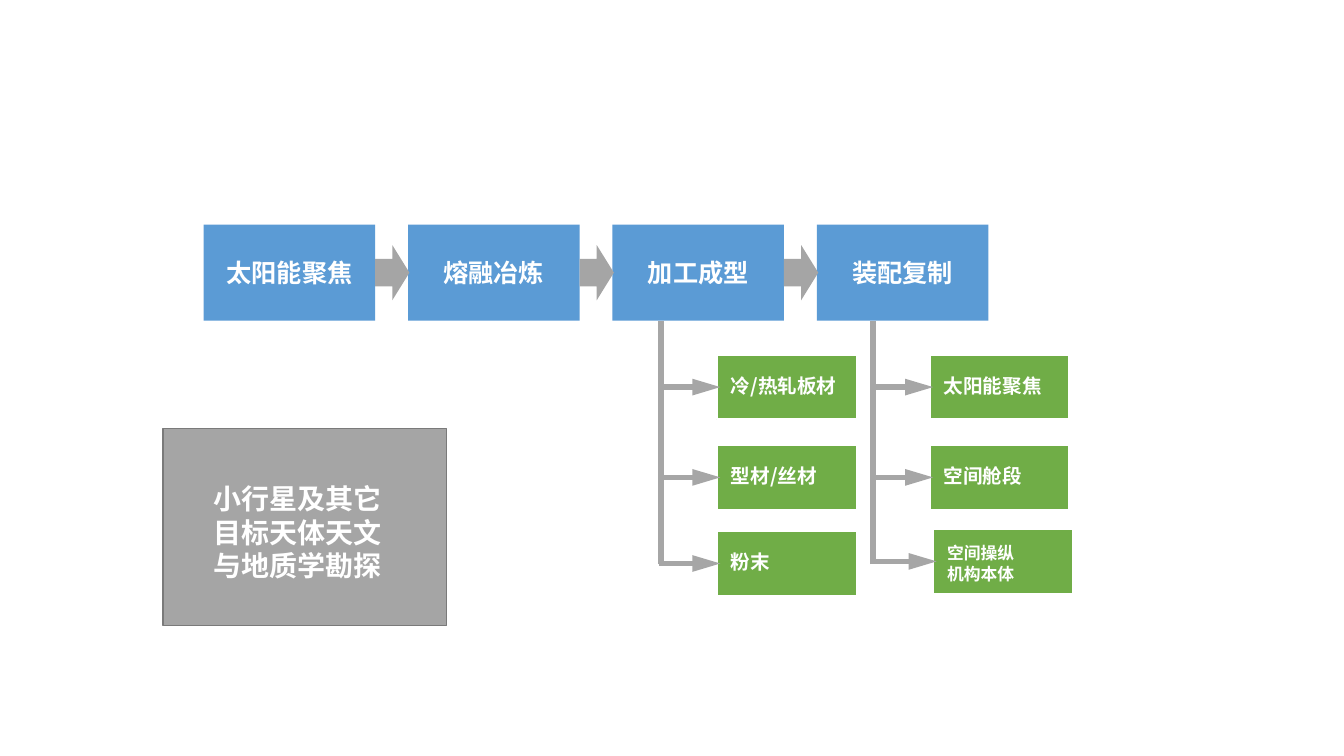
import pptx
import pptx.util
import pptx.dml.color
import pptx.enum.shapes
import pptx.enum.text
import pptx.oxml
import pptx.oxml.ns
import pptx.oxml.xmlchemy

Pt = pptx.util.Pt
RGBColor = pptx.dml.color.RGBColor
Shape = pptx.enum.shapes.MSO_SHAPE
Align = pptx.enum.text.PP_ALIGN
Anchor = pptx.enum.text.MSO_ANCHOR

# Content
STEPS = ["太阳能聚焦", "熔融冶炼", "加工成型", "装配复制"]
SURVEY = "小行星及其它目标天体天文与地质学勘探"
# Each branch: stem x, then outputs as (text, left, top, font size, text inset)
BRANCHES = [
    (472, [("冷/热轧板材", 512, 253.5, 14, 13.5),
           ("型材/丝材", 512, 318, 14, 13),
           ("粉末", 512, 379.5, 14, 13)]),
    (623.5, [("太阳能聚焦", 664, 253.5, 14, 13.5),
             ("空间舱段", 664, 318, 14, 13),
             ("空间操纵\n机构本体", 666.5, 378, 12, 10)]),
]

# Style and geometry
FONT = "Noto Sans CJK SC"
WHITE = RGBColor(0xFF, 0xFF, 0xFF)
BLUE = RGBColor(0x5B, 0x9B, 0xD5)
GREEN = RGBColor(0x70, 0xAD, 0x47)
GRAY = RGBColor(0xA5, 0xA5, 0xA5)
DARK_GRAY = RGBColor(0x7A, 0x7A, 0x7A)
LINE_GRAY = RGBColor(0xA6, 0xA6, 0xA6)
STEP_LEFT, STEP_TOP, STEP_PITCH = 145.5, 160.5, 146
STEP_WIDTH, STEP_HEIGHT = 122.5, 68.5
ARROW_WIDTH, ARROW_HEIGHT = 24.5, 39.5
OUTPUT_WIDTH, OUTPUT_HEIGHT = 100, 46
STEM_BOTTOM = 403

presentation = pptx.Presentation()
presentation.slide_width = Pt(960)
presentation.slide_height = Pt(540)
slide = presentation.slides.add_slide(presentation.slide_layouts[6])


def add_box(kind, left, top, width, height, fill, line=None, line_width=1):
    shape = slide.shapes.add_shape(kind, Pt(left), Pt(top), Pt(width), Pt(height))
    shape.shadow.inherit = False
    shape.fill.solid()
    shape.fill.fore_color.rgb = fill
    if line is None:
        shape.line.fill.background()
    else:
        shape.line.color.rgb = line
        shape.line.width = Pt(line_width)
    return shape


def write(shape, text, size, align=Align.LEFT, anchor=Anchor.TOP, insets=(0, 0, 0, 0)):
    frame = shape.text_frame
    frame.word_wrap = True
    frame.vertical_anchor = anchor
    (frame.margin_left, frame.margin_top,
     frame.margin_right, frame.margin_bottom) = map(Pt, insets)
    frame.text = text
    for paragraph in frame.paragraphs:
        paragraph.alignment = align
        for run in paragraph.runs:
            run.font.size = Pt(size)
            run.font.bold = True
            run.font.color.rgb = WHITE
            run.font.name = FONT
            east_asian = run.font._element.makeelement(
                pptx.oxml.ns.qn("a:ea"), {"typeface": FONT})
            run.font._element.append(east_asian)


def add_line(x1, y1, x2, y2, arrow=False):
    connector = slide.shapes.add_connector(
        pptx.enum.shapes.MSO_CONNECTOR.STRAIGHT, Pt(x1), Pt(y1), Pt(x2), Pt(y2))
    connector.line.color.rgb = LINE_GRAY
    connector.line.width = Pt(4)
    properties = connector._element.spPr
    properties.append(properties.makeelement(pptx.oxml.ns.qn("a:effectLst"), {}))
    if arrow:
        outline = connector.line._get_or_add_ln()
        outline.append(outline.makeelement(
            pptx.oxml.ns.qn("a:tailEnd"), {"type": "triangle", "w": "med", "len": "lg"}))


# Process steps
for index, step in enumerate(STEPS):
    box = add_box(Shape.RECTANGLE, STEP_LEFT + index * STEP_PITCH, STEP_TOP,
                  STEP_WIDTH, STEP_HEIGHT, BLUE)
    write(box, step, 18, align=Align.CENTER, anchor=Anchor.MIDDLE)

# Outputs hanging from the last two steps
for stem_x, outputs in BRANCHES:
    add_line(stem_x, STEM_BOTTOM, stem_x, STEP_TOP + STEP_HEIGHT)
    for text, left, top, size, inset in outputs:
        box = add_box(Shape.RECTANGLE, left, top, OUTPUT_WIDTH, OUTPUT_HEIGHT,
                      GREEN, WHITE, 1.5)
        write(box, text, size, insets=(10, inset, 9, 0))
        middle = top + OUTPUT_HEIGHT / 2
        add_line(left - 41.5, middle, left + 2.5, middle, arrow=True)

# Arrows between steps
for index in range(len(STEPS) - 1):
    add_box(Shape.RIGHT_ARROW, STEP_LEFT + index * STEP_PITCH + STEP_WIDTH,
            STEP_TOP + (STEP_HEIGHT - ARROW_HEIGHT) / 2, ARROW_WIDTH, ARROW_HEIGHT, GRAY)

# Survey box
survey_box = add_box(Shape.RECTANGLE, 116.5, 306, 202.5, 141, GRAY, DARK_GRAY)
write(survey_box, SURVEY, 20, insets=(36, 38, 42.5, 0))

presentation.save("out.pptx")
